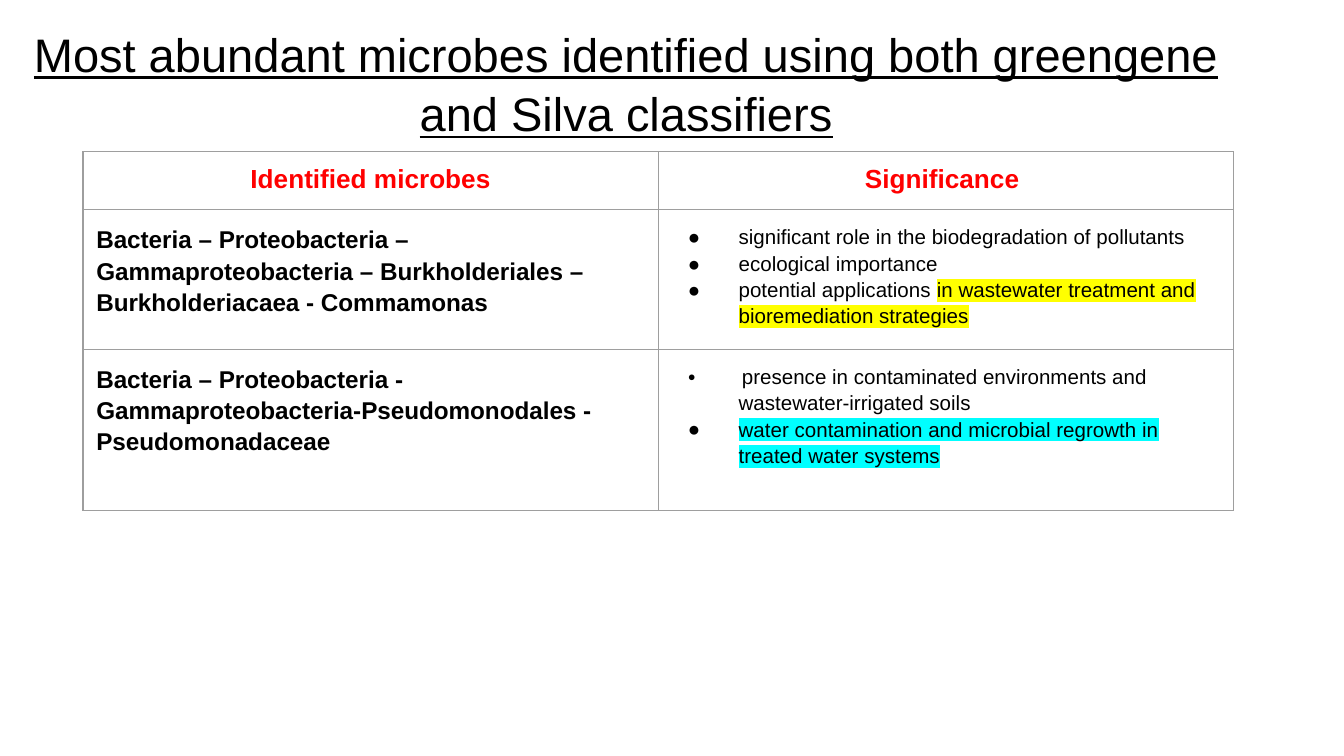
from pptx import Presentation
from pptx.dml.color import RGBColor
from pptx.enum.text import MSO_ANCHOR, PP_ALIGN
from pptx.oxml.ns import qn
from pptx.util import Cm, Pt
from lxml import etree

CENTER, LEFT = PP_ALIGN.CENTER, PP_ALIGN.LEFT
TOP = MSO_ANCHOR.TOP
BLACK, RED, WHITE, GRAY = "000000", "FF0000", "FFFFFF", "9E9E9E"
YELLOW, CYAN = "FFFF00", "00FFFF"
INSET = Cm(0.25)

HEADERS = ["Identified microbes", "Significance "]
# Each row: lineage, then bullets made of (text, highlight) spans
MICROBES = [
    ("Bacteria – Proteobacteria – Gammaproteobacteria – Burkholderiales – "
     "Burkholderiacaea - Commamonas",
     [[("significant role in the biodegradation of pollutants", None)],
      [("ecological importance", None)],
      [("potential applications ", None),
       ("in wastewater treatment and bioremediation strategies", YELLOW)]]),
    ("Bacteria – Proteobacteria - Gammaproteobacteria-Pseudomonodales - "
     "Pseudomonadaceae",
     [[(" ", None),
       ("presence in contaminated environments and wastewater-irrigated soils", None)],
      [("water contamination and microbial regrowth in treated water systems", CYAN)]]),
]


def color(value):
    return RGBColor.from_string(value)


def add_fill(parent, tag, value):
    """Append a colour-holding element such as a:highlight or a:buClr."""
    holder = etree.SubElement(parent, qn(tag))
    etree.SubElement(holder, qn("a:srgbClr"), val=value)


def style(font, size, value=BLACK, bold=False, name="Arial"):
    font.size, font.bold, font.name = Pt(size), bold, name
    font.color.rgb = color(value)


def set_insets(target):
    target.margin_left = target.margin_right = INSET
    target.margin_top = target.margin_bottom = INSET


def add_bullet(para):
    props = para._p.get_or_add_pPr()
    props.set("marL", str(Cm(1.27)))
    props.set("indent", str(Cm(-0.96)))
    add_fill(props, "a:buClr", BLACK)
    etree.SubElement(props, qn("a:buFont"), typeface="Arial")
    etree.SubElement(props, qn("a:buChar"), char="●")


def set_borders(cell):
    props = cell._tc.get_or_add_tcPr()
    for position, side in enumerate(("a:lnL", "a:lnR", "a:lnT", "a:lnB")):
        line = etree.Element(qn(side), w=str(Pt(0.75)))
        add_fill(line, "a:solidFill", GRAY)
        props.insert(position, line)


def fill_lineage(cell, lineage):
    para = cell.text_frame.paragraphs[0]
    para.text = lineage
    para.line_spacing, para.space_before = 1.15, Pt(12)
    style(para.font, 13, bold=True)


def fill_significance(cell, bullets):
    frame = cell.text_frame
    for index, spans in enumerate(bullets):
        para = frame.add_paragraph() if index else frame.paragraphs[0]
        add_bullet(para)
        para.line_spacing = 1.15
        para.space_before = Pt(0 if index else 12)
        style(para.font, 11)
        for text, highlight in spans:
            span = para.add_run()
            span.text = text
            if highlight:
                add_fill(span._r.get_or_add_rPr(), "a:highlight", highlight)
            if not text.strip():
                style(span.font, 7, name="Times New Roman")


def add_title(page, left, top, width, height):
    box = page.shapes.add_textbox(left, top, width, height)
    frame = box.text_frame
    frame.word_wrap, frame.vertical_anchor = True, TOP
    set_insets(frame)
    para = frame.paragraphs[0]
    para.text = ("Most abundant microbes identified using both greengene "
                 "and Silva classifiers")
    para.alignment, para.line_spacing = CENTER, 1.05
    style(para.font, 25.2)
    para.font.underline = True


def add_microbe_table(page, left, top, width, row_heights):
    table = page.shapes.add_table(len(row_heights), len(HEADERS), left, top,
                                  width, sum(row_heights)).table
    table.first_row = table.horz_banding = False
    for row, height in zip(table.rows, row_heights):
        row.height = height
    for cell in table.iter_cells():
        set_insets(cell)
        cell.vertical_anchor = TOP
        cell.fill.solid()
        cell.fill.fore_color.rgb = color(WHITE)
        set_borders(cell)
    for column, header in enumerate(HEADERS):
        para = table.cell(0, column).text_frame.paragraphs[0]
        para.text, para.alignment = header, CENTER
        style(para.font, 14, RED, bold=True)
    for row, (lineage, bullets) in enumerate(MICROBES, 1):
        fill_lineage(table.cell(row, 0), lineage)
        fill_significance(table.cell(row, 1), bullets)


def main():
    deck = Presentation()
    deck.slide_width, deck.slide_height = Cm(25.4), Cm(14.29)
    page = deck.slides.add_slide(deck.slide_layouts[6])
    add_title(page, Cm(0), Cm(0.18), Cm(23.67), Cm(2.39))
    add_microbe_table(page, Cm(1.57), Cm(2.87), Cm(21.74),
                      [Cm(1.07), Cm(2.49), Cm(3.05)])
    deck.save("out.pptx")


if __name__ == "__main__":
    main()
